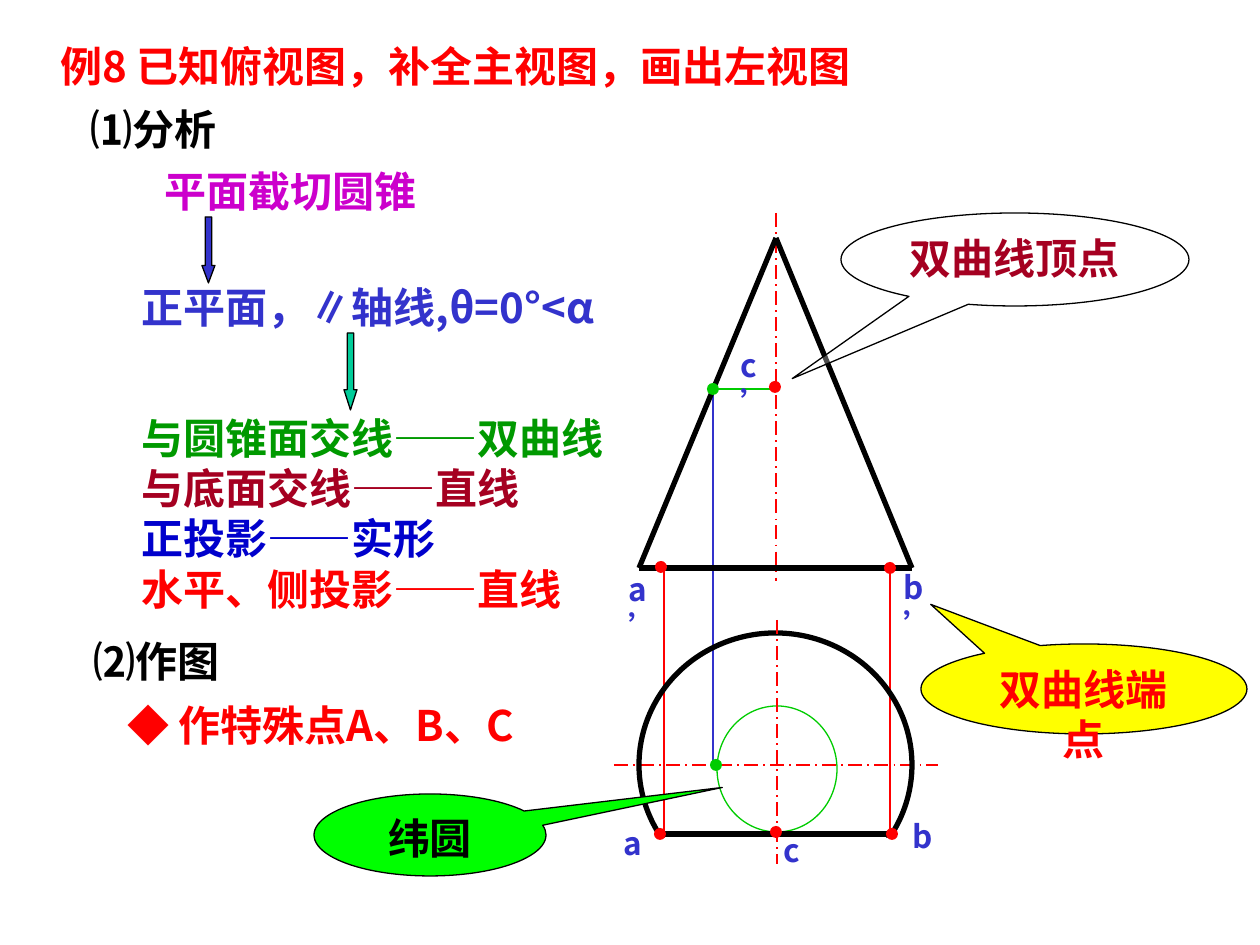
from dataclasses import dataclass

from lxml import etree
from pptx import Presentation
from pptx.dml.color import RGBColor
from pptx.enum.dml import MSO_LINE
from pptx.enum.shapes import MSO_CONNECTOR, MSO_SHAPE
from pptx.enum.text import MSO_ANCHOR, PP_ALIGN
from pptx.oxml.ns import qn
from pptx.util import Pt

EMU_PER_PX = 914400 / 126


@dataclass(frozen=True)
class Theme:
    font: str = "Noto Sans CJK SC"
    body: int = 24
    label: int = 18
    thin: float = 0.75
    axis: float = 1
    outline: float = 3
    black: str = "000000"
    white: str = "FFFFFF"
    red: str = "FF0000"
    blue: str = "3333CC"
    navy: str = "0000CC"
    purple: str = "CC00CC"
    maroon: str = "A50021"
    forest: str = "009900"
    green: str = "00CC00"
    lime: str = "00FF00"
    teal: str = "00CC99"
    yellow: str = "FFFF00"


THEME = Theme()


def px(*lengths):
    return [round(length * EMU_PER_PX) for length in lengths]


def write(frame, lines, size=THEME.body, align=PP_ALIGN.LEFT):
    frame.word_wrap = True
    frame.vertical_anchor = MSO_ANCHOR.TOP
    for index, (words, color) in enumerate(lines):
        paragraph = frame.paragraphs[0] if index == 0 else frame.add_paragraph()
        paragraph.text = words
        paragraph.alignment = align
        font = paragraph.font
        font.name, font.size, font.bold = THEME.font, Pt(size), True
        font.color.rgb = RGBColor.from_string(color)
        for run in paragraph.runs:
            east_asian = etree.SubElement(run._r.get_or_add_rPr(), qn("a:ea"))
            east_asian.set("typeface", THEME.font)


def add_text(slide, box, lines, size=THEME.body):
    write(slide.shapes.add_textbox(*px(*box)).text_frame, lines, size)


def add_figure(slide, kind, box, fill=None, line=None, width=THEME.thin):
    figure = slide.shapes.add_shape(kind, *px(*box))
    figure.shadow.inherit = False
    if fill:
        figure.fill.solid()
        figure.fill.fore_color.rgb = RGBColor.from_string(fill)
    else:
        figure.fill.background()
    if line:
        figure.line.color.rgb = RGBColor.from_string(line)
        figure.line.width = Pt(width)
    else:
        figure.line.fill.background()
    return figure


def add_line(slide, start, end, color, width=THEME.thin, dash=None):
    line = slide.shapes.add_connector(MSO_CONNECTOR.STRAIGHT, *px(*start, *end))
    line.line.color.rgb = RGBColor.from_string(color)
    line.line.width = Pt(width)
    if dash:
        line.line.dash_style = dash
    etree.SubElement(line._element.spPr, qn("a:effectLst"))


def add_axis(slide, start, end):
    add_line(slide, start, end, THEME.red, THEME.axis, MSO_LINE.LONG_DASH_DOT)


def add_dot(slide, x, y, color=THEME.red):
    add_figure(slide, MSO_SHAPE.OVAL, (x - 6, y - 6, 12, 12), color)


def add_point(slide, name, x, y, label_dx, label_dy):
    add_dot(slide, x, y)
    add_text(slide, (x + label_dx, y + label_dy, 63, 50), [(name, THEME.blue)], THEME.label)


def notes(slide, left, top):
    blocks = [
        (0, 0, 890, 63, [("例8 已知俯视图，补全主视图，画出左视图", THEME.red)]),
        (30, 63, 268, 63, [("⑴分析", THEME.black)]),
        (104, 125, 428, 63, [("平面截切圆锥", THEME.purple)]),
        (81, 241, 708, 63, [("正平面，∥轴线,θ=0°<α", THEME.blue)]),
        (81, 372, 533, 214, [
            ("与圆锥面交线——双曲线", THEME.forest),
            ("与底面交线——直线", THEME.maroon),
            ("正投影——实形", THEME.navy),
            ("水平、侧投影——直线", THEME.red),
        ]),
        (33, 595, 229, 63, [("⑵作图", THEME.black)]),
        (67, 659, 464, 63, [("◆ 作特殊点A、B、C", THEME.red)]),
    ]
    for x, y, width, height, lines in blocks:
        add_text(slide, (left + x, top + y, width, height), lines)
    for x, y, height, color, head in [
        (154, 183, 66, THEME.blue, 1.34),
        (296, 299, 77, THEME.teal, 1.56),
    ]:
        arrow = add_figure(slide, MSO_SHAPE.DOWN_ARROW, (left + x, top + y, 13, height),
                           color, THEME.black)
        arrow.adjustments[1] = head


def projectors(slide, left, top, bottom):
    for x in (25, 251):
        add_line(slide, (left + x, bottom), (left + x, top), THEME.red)
    add_line(slide, (left + 74, top - 178), (left + 74, bottom - 69), THEME.blue)


def front_view(slide, left, top, width, height):
    right, base, middle = left + width, top + height, left + width // 2 + 1
    apex = (middle, top)
    add_axis(slide, (middle, top - 25), (middle, base + 13))
    corners = [(left, base), apex, (right, base)]
    for start, end in zip(corners, corners[1:] + corners[:1]):
        add_line(slide, start, end, THEME.black, THEME.outline)
    add_dot(slide, left + 74, top + 151, THEME.green)
    add_line(slide, (left + 74, top + 151), (middle, top + 151), THEME.green)
    add_point(slide, "b’", right - 22, base, 1, -6)
    add_point(slide, "a’", left + 22, base - 1, -45, -3)
    add_point(slide, "c’", middle - 1, top + 149, -47, -47)


def top_view(slide, left, top, width, height):
    center_x, center_y = left + width // 2 + 2, top + height // 2
    cut = top + 201
    add_figure(slide, MSO_SHAPE.OVAL, (left + 78, top + 73, 120, 126), line=THEME.green)
    add_axis(slide, (left - 25, center_y), (left + width + 26, center_y))
    add_figure(slide, MSO_SHAPE.OVAL, (left, top, width, height),
               line=THEME.black, width=THEME.outline)
    add_figure(slide, MSO_SHAPE.RECTANGLE, (left - 1, cut + 4, width + 2, 77), THEME.white)
    add_line(slide, (left + 25, cut), (left + 251, cut), THEME.black, THEME.outline)
    add_axis(slide, (center_x, top - 13), (center_x, top + 231))
    add_dot(slide, left + 77, center_y, THEME.green)
    add_point(slide, "a", left + 21, cut, -49, -16)
    add_point(slide, "b", left + 253, cut, 8, -23)
    add_point(slide, "c", center_x - 1, cut - 2, -5, -7)


def callout(slide, box, words, fill, color, tail, opacity=None):
    balloon = add_figure(slide, MSO_SHAPE.OVAL_CALLOUT, box, fill, THEME.black)
    balloon.adjustments[0], balloon.adjustments[1] = tail
    if opacity:
        tint = balloon._element.spPr.find(qn("a:solidFill"))[0]
        etree.SubElement(tint, qn("a:alpha")).set("val", str(opacity * 1000))
    write(balloon.text_frame, [(words, color)], align=PP_ALIGN.CENTER)


def main():
    deck = Presentation()
    deck.slide_width, deck.slide_height = px(1260, 945)
    slide = deck.slides.add_slide(deck.slide_layouts[6])
    notes(slide, 48, 34)
    projectors(slide, 639, 567, 834)
    front_view(slide, 639, 238, 273, 330)
    top_view(slide, 639, 633, 273, 264)
    callout(slide, (921, 644, 326, 90), "双曲线端点", THEME.yellow, THEME.red, (-0.47, -0.94))
    callout(slide, (841, 213, 348, 93), "双曲线顶点", THEME.white, THEME.maroon, (-0.64, 1.28), 30)
    callout(slide, (314, 794, 232, 82), "纬圆", THEME.lime, THEME.black, (1.26, -0.58))
    deck.save("out.pptx")


if __name__ == "__main__":
    main()
